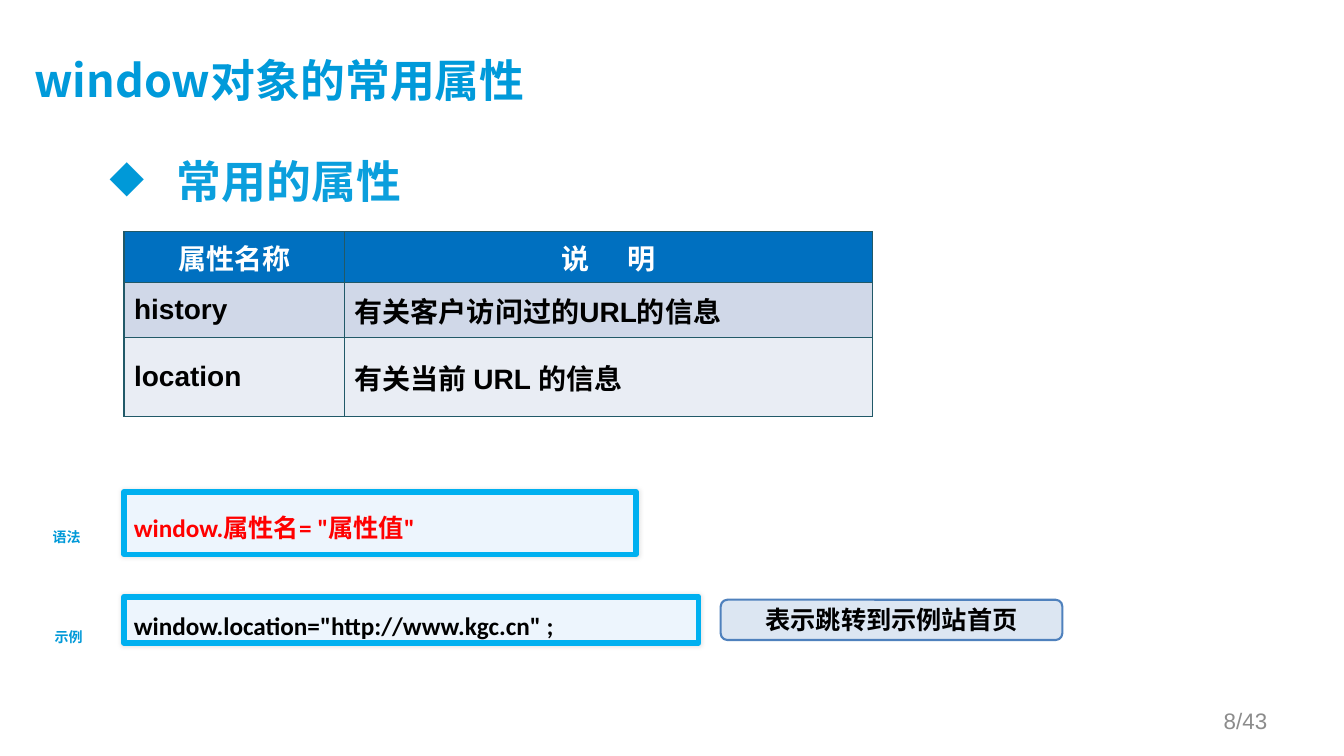
from dataclasses import dataclass

import lxml.etree
import pptx
import pptx.dml.color
import pptx.enum.shapes
import pptx.enum.text
import pptx.oxml.ns
import pptx.util

Align = pptx.enum.text.PP_ALIGN
Anchor = pptx.enum.text.MSO_ANCHOR
qn = pptx.oxml.ns.qn
COLUMNS, ROWS = 80, 45
WIDTH, HEIGHT = pptx.util.Inches(13.33), pptx.util.Inches(7.5)


@dataclass(frozen=True)
class Theme:
    title: str = "009ADA"
    heading: str = "0B9FDD"
    accent: str = "0099D8"
    white: str = "FFFFFF"
    black: str = "000000"
    red: str = "FF0000"
    grey: str = "8C8C8C"
    table_header: str = "0070C0"
    table_border: str = "215968"
    bands: tuple[str, str] = ("D0D8E8", "E9EDF4")
    code_fill: str = "EDF5FD"
    code_line: str = "00B0F0"
    callout_fill: str = "DCE6F2"
    callout_line: str = "4F81BD"
    cjk: str = "Noto Sans CJK SC"
    latin: str = "Calibri"
    sans: str = "Arial"
    large: int = 32
    cell: int = 20
    body: int = 18
    number: int = 16
    small: int = 10


THEME = Theme()


@dataclass(frozen=True)
class Box:
    col: float
    row: float
    cols: float
    rows: float

    def emu(self) -> tuple[int, int, int, int]:
        return x(self.col), y(self.row), x(self.cols), y(self.rows)


@dataclass(frozen=True)
class Style:
    font: str
    size: int
    color: str
    bold: bool = True
    align: Align = Align.LEFT
    anchor: Anchor = Anchor.TOP
    spacing: float = 1.0
    wrap: bool = True


@dataclass(frozen=True)
class Label:
    text: str
    box: Box
    style: Style


@dataclass(frozen=True)
class Panel:
    label: Label
    fill: str
    line: str
    line_width: float
    corner: float
    glow: bool


def x(cols: float) -> int:
    return round(WIDTH * cols / COLUMNS)


def y(rows: float) -> int:
    return round(HEIGHT * rows / ROWS)


def rgb(value: str) -> pptx.dml.color.RGBColor:
    return pptx.dml.color.RGBColor.from_string(value)


def format_paragraph(p, style: Style) -> None:
    p.alignment = style.align
    p.line_spacing = style.spacing
    p.font.name = style.font
    p.font.size = pptx.util.Pt(style.size)
    p.font.bold = style.bold
    p.font.color.rgb = rgb(style.color)


def write(tf, text: str, style: Style) -> None:
    tf.word_wrap = style.wrap
    tf.vertical_anchor = style.anchor
    p = tf.paragraphs[0]
    p.text = text
    format_paragraph(p, style)


def add_label(slide, label: Label):
    sp = slide.shapes.add_textbox(*label.box.emu())
    write(sp.text_frame, label.text, label.style)
    return sp


def add_title(slide, label: Label) -> None:
    sp = slide.shapes.title
    sp.left, sp.top, sp.width, sp.height = label.box.emu()
    tf = sp.text_frame
    tf.margin_left = tf.margin_top = 0
    write(tf, label.text, label.style)


def add_heading(slide, label: Label) -> None:
    p = add_label(slide, label).text_frame.paragraphs[0]
    pPr = p._p.get_or_add_pPr()
    pPr.set("marL", str(x(4)))
    pPr.set("indent", str(-x(4)))
    bullet_color = lxml.etree.Element(qn("a:buClr"))
    lxml.etree.SubElement(bullet_color, qn("a:srgbClr"), val=THEME.accent)
    bullet = lxml.etree.Element(qn("a:buChar"), char="◆")
    at = list(pPr).index(pPr.find(qn("a:defRPr")))
    pPr[at:at] = [bullet_color, bullet]


def add_panel(slide, panel: Panel) -> None:
    label = panel.label
    sp = slide.shapes.add_shape(
        pptx.enum.shapes.MSO_SHAPE.ROUNDED_RECTANGLE, *label.box.emu())
    sp.adjustments[0] = panel.corner
    sp.fill.solid()
    sp.fill.fore_color.rgb = rgb(panel.fill)
    sp.line.color.rgb = rgb(panel.line)
    sp.line.width = pptx.util.Pt(panel.line_width)
    sp.shadow.inherit = False
    if panel.glow:
        effects = sp._element.spPr.find(qn("a:effectLst"))
        shadow = lxml.etree.SubElement(
            effects, qn("a:outerShdw"), blurRad=str(pptx.util.Pt(3)), dist="0", dir="0")
        color = lxml.etree.SubElement(shadow, qn("a:srgbClr"), val=THEME.black)
        lxml.etree.SubElement(color, qn("a:alpha"), val="10000")
    write(sp.text_frame, label.text, label.style)


def add_border(cell) -> None:
    tcPr = cell._tc.get_or_add_tcPr()
    for side in ("lnL", "lnR", "lnT", "lnB"):
        ln = lxml.etree.SubElement(tcPr, qn(f"a:{side}"), w=str(pptx.util.Pt(1)))
        fill = lxml.etree.SubElement(ln, qn("a:solidFill"))
        lxml.etree.SubElement(fill, qn("a:srgbClr"), val=THEME.table_border)


def widen_gap(p, text: str, gap: float) -> None:
    p.clear()
    for part in text:
        r = p.add_run()
        r.text = part
        if part == " ":
            r.font._element.set("spc", str(round(gap * 100)))


def add_property_table(slide) -> None:
    rows = (("属性名称", "说 明"),
            ("history", "有关客户访问过的URL的信息"),
            ("location", "有关当前 URL 的信息"))
    widths, heights = (13.14, 31.44), (3, 3.3, 4.68)
    box = Box(7.38, 13.8, sum(widths), sum(heights))
    table = slide.shapes.add_table(len(rows), len(widths), *box.emu()).table
    for column, width in zip(table.columns, widths):
        column.width = x(width)
    header = Style(THEME.latin, THEME.cell, THEME.white, align=Align.CENTER)
    body = Style(THEME.sans, THEME.cell, THEME.black, anchor=Anchor.MIDDLE)
    fills = (THEME.table_header, *THEME.bands)
    for i, (texts, height, fill) in enumerate(zip(rows, heights, fills)):
        table.rows[i].height = y(height)
        style = body if i else header
        for j, text in enumerate(texts):
            cell = table.cell(i, j)
            add_border(cell)
            cell.fill.solid()
            cell.fill.fore_color.rgb = rgb(fill)
            cell.vertical_anchor = style.anchor
            p = cell.text_frame.paragraphs[0]
            p.text = text
            format_paragraph(p, style)
    widen_gap(table.cell(0, 1).text_frame.paragraphs[0], rows[0][1], 22.5)


def main() -> None:
    prs = pptx.Presentation()
    prs.slide_width, prs.slide_height = WIDTH, HEIGHT
    s = prs.slides.add_slide(prs.slide_layouts[5])
    t = THEME
    add_title(s, Label("window对象的常用属性", Box(2.04, 1.8, 72.06, 6.18),
                       Style(t.cjk, t.large, t.title, anchor=Anchor.MIDDLE)))
    add_heading(s, Label("常用的属性", Box(5.94, 8.88, 67.92, 4.5),
                         Style(t.cjk, t.large, t.heading)))
    add_property_table(s)
    syntax = Label('window.属性名= "属性值"', Box(7.38, 29.28, 30.48, 3.72),
                   Style(t.latin, t.body, t.red, spacing=1.5))
    example = Label('window.location="http://www.kgc.cn" ;', Box(7.38, 35.52, 34.2, 2.76),
                    Style(t.latin, t.body, t.black, spacing=1.3))
    callout = Label("表示跳转到示例站首页", Box(42.9, 35.7, 20.34, 2.4),
                    Style(t.cjk, t.body, t.black, align=Align.CENTER, anchor=Anchor.MIDDLE))
    for panel in (Panel(syntax, t.code_fill, t.code_line, 4, 0, True),
                  Panel(example, t.code_fill, t.code_line, 4, 0, True),
                  Panel(callout, t.callout_fill, t.callout_line, 1.5, 0.17, False)):
        add_panel(s, panel)
    tag = Style(t.sans, t.small, t.accent, align=Align.CENTER, wrap=False)
    number = Style(t.sans, t.number, t.grey, False, Align.RIGHT, Anchor.MIDDLE)
    for label in (Label("示例", Box(2.64, 37.14, 2.88, 1.62), tag),
                  Label("语法", Box(2.52, 31.14, 2.88, 1.62), tag),
                  Label("8/43", Box(57.36, 41.7, 18.66, 2.4), number)):
        add_label(s, label)
    prs.save("out.pptx")


if __name__ == "__main__":
    main()
